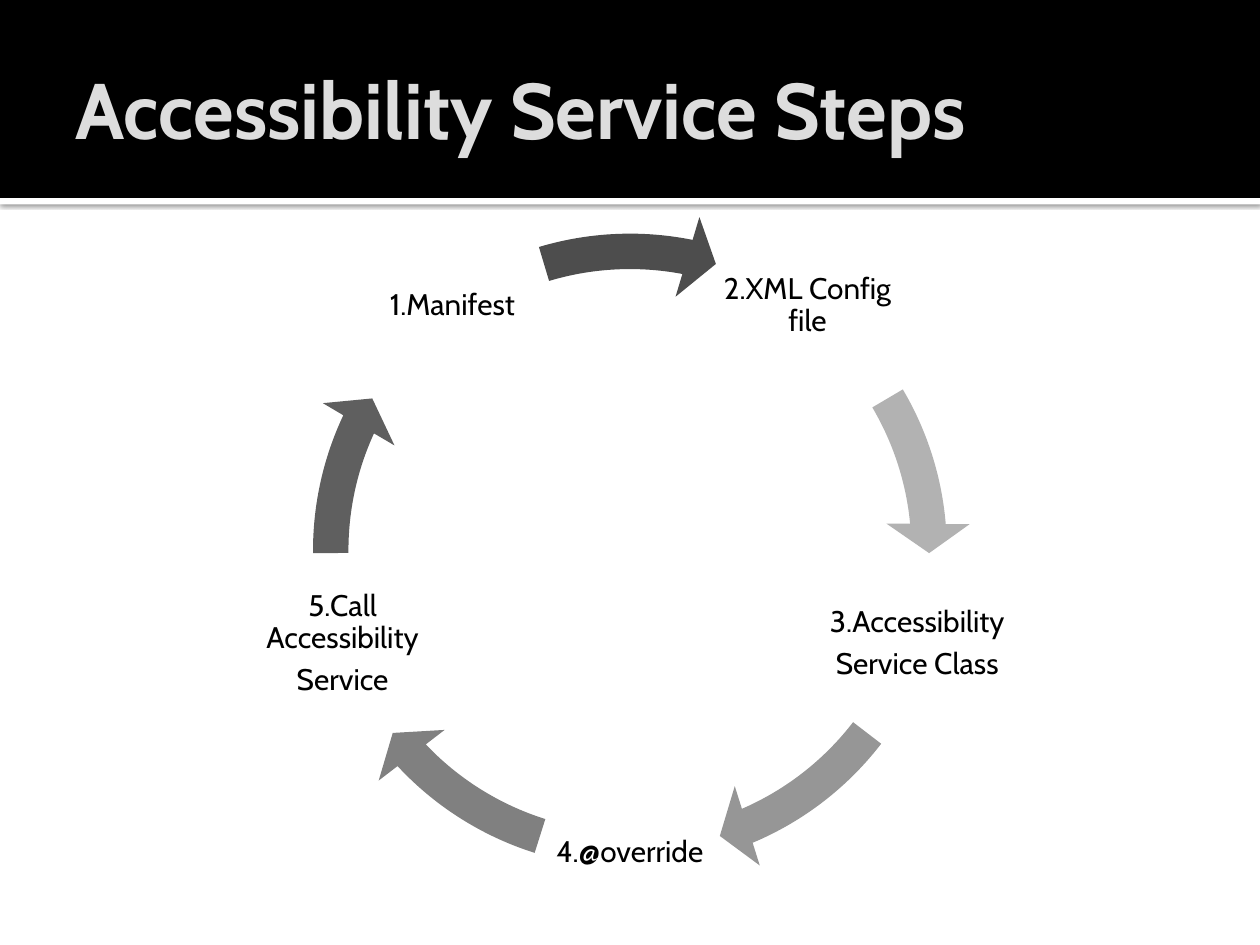
from math import cos, radians, sin

from lxml import etree
from pptx import Presentation
from pptx.dml.color import RGBColor
from pptx.enum.shapes import MSO_SHAPE
from pptx.enum.text import MSO_ANCHOR, PP_ALIGN
from pptx.oxml.ns import qn
from pptx.util import Cm, Pt

RECT = MSO_SHAPE.RECTANGLE
ARC = MSO_SHAPE.CIRCULAR_ARROW
MIDDLE = MSO_ANCHOR.MIDDLE
LEFT, CENTER = PP_ALIGN.LEFT, PP_ALIGN.CENTER

# Ring of steps: centre, radius and sizes in cm
MID_X, MID_Y, RADIUS = 12.7, 11.1, 6.09
LABEL, RING = 3.66, 13.74

# Label lines, label angle, arrow start and end (degrees), arrow colour
STEPS = [
    (["2.XML Config file"], -54, 329.44, 354.89, "B2B2B2"),
    (["3.Accessibility", "Service Class"], 18, 37.56, 66.91, "969696"),
    (["4.@override"], 90, 107.49, 136.84, "808080"),
    (["5.Call Accessibility", "Service"], 162, 179.52, 204.96, "5F5F5F"),
    (["1.Manifest"], 234, 253.31, 281.09, "4D4D4D"),
]


def color(code):
    return RGBColor.from_string(code)


def write(frame, lines, size=17, tone="000000", bold=False, align=LEFT,
          pads=(0, 0, 0, 0), space=1, after=0):
    frame.word_wrap = True
    frame.vertical_anchor = MIDDLE
    (frame.margin_left, frame.margin_top,
     frame.margin_right, frame.margin_bottom) = map(Cm, pads)
    for i, line in enumerate(lines):
        para = frame.add_paragraph() if i else frame.paragraphs[0]
        para.alignment = align
        para.line_spacing = space
        para.space_after = Pt(after)
        run = para.add_run()
        run.text = line
        run.font.name = "Cabin"
        run.font.size = Pt(size)
        run.font.bold = bold
        run.font.color.rgb = color(tone)


class Page:
    def __init__(self, slide):
        self.shapes = slide.shapes

    def shape(self, kind, box, fill):
        item = self.shapes.add_shape(kind, *map(Cm, box))
        item.shadow.inherit = False
        item.fill.solid()
        item.fill.fore_color.rgb = color(fill)
        item.line.fill.background()
        return item

    def text(self, box, lines, **style):
        item = self.shapes.add_textbox(*map(Cm, box))
        write(item.text_frame, lines, **style)

    def arrow(self, start, end, fill):
        box = (MID_X - RING / 2, MID_Y - RING / 2, RING, RING)
        item = self.shape(ARC, box, fill)
        # Angles are stored as degrees times 0.6
        values = (0.052, 5.6 * 0.6, end * 0.6, start * 0.6, 0.061)
        for i, value in enumerate(values):
            item.adjustments[i] = value

    def shade(self, item):
        effects = item._element.spPr.find(qn("a:effectLst"))
        outer = etree.SubElement(
            effects, qn("a:outerShdw"), blurRad=str(Pt(2.5)),
            dist=str(Pt(0.8)), dir="5400000", algn="t", rotWithShape="0")
        tint = etree.SubElement(outer, qn("a:srgbClr"), val="000000")
        etree.SubElement(tint, qn("a:alpha"), val="60000")


def main():
    deck = Presentation()
    deck.slide_width, deck.slide_height = Cm(25.4), Cm(19.05)
    page = Page(deck.slides.add_slide(deck.slide_layouts[6]))

    # Header band with a shadowed white rule
    page.shade(page.shape(RECT, (0, 3.99, 25.4, 0.13), "FFFFFF"))
    page.shape(RECT, (0, 0, 25.4, 3.99), "000000")
    page.text((1.27, 0.43, 22.86, 3.48), ["Accessibility Service Steps"],
              size=45, tone="DDDDDD", bold=True,
              pads=(0.25, 0.13, 0.13, 0.13))

    # Cycle of labels and arrows
    for lines, angle, start, end, fill in STEPS:
        x = MID_X + RADIUS * cos(radians(angle)) - LABEL / 2
        y = MID_Y + RADIUS * sin(radians(angle)) - LABEL / 2
        page.text((x, y, LABEL, LABEL), lines, align=CENTER,
                  pads=(0.05,) * 4, space=0.9, after=6)
        page.arrow(start, end, fill)

    deck.save("out.pptx")


if __name__ == "__main__":
    main()
